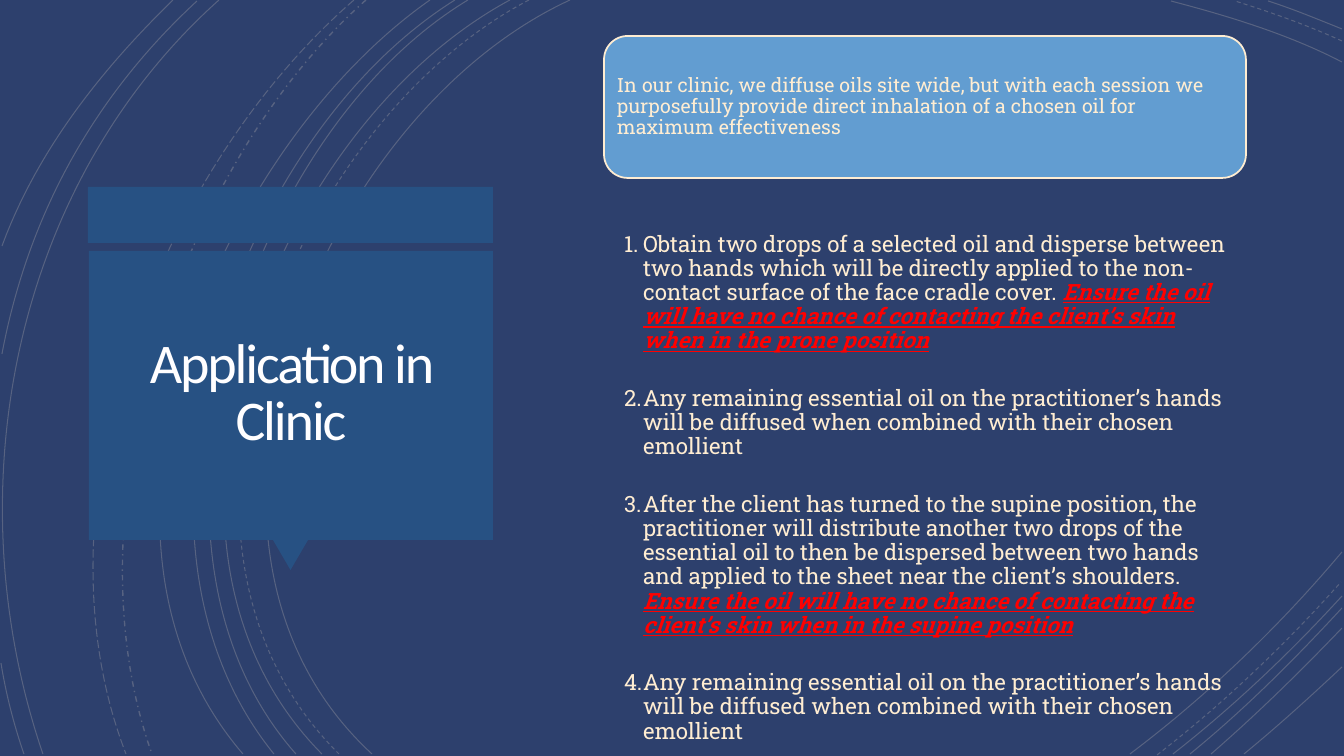
from lxml import etree
from pptx import Presentation, util as u
from pptx.dml.color import RGBColor
from pptx.enum import dml, shapes, text
from pptx.oxml.ns import qn

PX = 914400 / 100.8
COLORS = {"back": "2D406D", "panel": "275183", "box": "629DD1",
          "cream": "FFEDD2", "white": "FFFEFF", "warning": "FF0000"}
SOLID, DASH = dml.MSO_LINE.SOLID, dml.MSO_LINE.DASH
DASH_DOT, LONG_DASH = dml.MSO_LINE.DASH_DOT, dml.MSO_LINE.LONG_DASH

ARCS = [
    (SOLID, (570, 0), (318, 116), (144, 544), (372, 754)),
    (SOLID, (1342, 62), (1288, 34), (1228, 16), (1171, 1)),
    (SOLID, (1130, 754), (1207, 696), (1279, 627), (1342, 552)),
    (DASH, (529, 0), (287, 126), (124, 541), (339, 754)),
    (DASH, (1342, 41), (1307, 25), (1270, 12), (1235, 1)),
    (DASH, (1157, 755), (1223, 704), (1285, 645), (1341, 582)),
    (SOLID, (510, 0), (272, 128), (111, 541), (322, 754)),
    (SOLID, (1342, 29), (1317, 19), (1293, 9), (1268, 1)),
    (SOLID, (1173, 754), (1233, 707), (1290, 653), (1342, 596)),
    (SOLID, (468, 0), (246, 134), (111, 545), (296, 754)),
    (SOLID, (1190, 754), (1244, 710), (1294, 660), (1342, 608)),
    (SOLID, (455, 0), (233, 139), (98, 537), (274, 754)),
    (SOLID, (1211, 754), (1256, 715), (1300, 672), (1342, 628)),
    (SOLID, (430, 0), (219, 148), (53, 533), (243, 754)),
    (SOLID, (1244, 754), (1277, 727), (1309, 698), (1342, 667)),
    (DASH_DOT, (366, 0), (177, 167), (66, 513), (152, 754)),
    (LONG_DASH, (354, 0), (158, 170), (29, 503), (126, 754)),
    (SOLID, (219, 0), (11, 186), (-46, 494), (43, 754)),
    (SOLID, (197, 1), (93, 97), (28, 216), (2, 354)),
    (SOLID, (1, 663), (6, 694), (14, 725), (24, 754)),
    (SOLID, (173, 0), (101, 70), (37, 151), (2, 246)),
]

INTRO = ("In our clinic, we diffuse oils site wide, but with each session we purposefully "
         "provide direct inhalation of a chosen oil for maximum effectiveness")
REMAINDER = ("Any remaining essential oil on the practitioner’s hands will be diffused "
             "when combined with their chosen emollient")
WARNING = "Ensure the oil will have no chance of contacting the client’s skin when in the {} position"
STEPS = [
    ("Obtain two drops of a selected oil and disperse between two hands which will be directly "
     "applied to the non-contact surface of the face cradle cover. ", WARNING.format("prone")),
    (REMAINDER, ""),
    ("After the client has turned to the supine position, the practitioner will distribute another "
     "two drops of the essential oil to then be dispersed between two hands and applied to the "
     "sheet near the client’s shoulders. ", WARNING.format("supine")),
    (REMAINDER, ""),
]


def px(n):
    return u.Emu(round(n * PX))


class Deck:
    """Hold the slide style and draw each kind of element on the current slide."""

    def __init__(self):
        self.prs = Presentation()
        self.prs.slide_width, self.prs.slide_height = px(1344), px(756)
        self.s = self.prs.slides.add_slide(self.prs.slide_layouts[1])
        self.paint(self.s.background.fill, "back")

    def paint(self, fill, color):
        fill.solid()
        fill.fore_color.rgb = RGBColor.from_string(COLORS[color])

    def arc(self, dash, start, *controls):
        builder = self.s.shapes.build_freeform(*start, scale=PX)
        builder.add_line_segments(controls, close=False)
        sp = builder.convert_to_shape()
        outline = next(sp.element.iter(qn("a:path")))
        curve = etree.SubElement(outline, qn("a:cubicBezTo"))
        for segment in outline.findall(qn("a:lnTo")):
            curve.append(segment[0])
            outline.remove(segment)
        sp.shadow.inherit = False
        sp.fill.background()
        self.paint(sp.line.fill, "cream")
        sp.line.width = u.Pt(1 if dash == DASH_DOT else 0.75)
        sp.line.dash_style = dash
        color = next(sp.element.spPr.find(qn("a:ln")).iter(qn("a:srgbClr")))
        etree.SubElement(color, qn("a:alpha"), val="20000")

    def shape(self, kind, box, color, outline=None, rotation=0):
        sp = self.s.shapes.add_shape(kind, *map(px, box))
        sp.shadow.inherit = False
        sp.rotation = rotation
        self.paint(sp.fill, color)
        if outline:
            self.paint(sp.line.fill, outline)
            sp.line.width = u.Pt(1.25)
        else:
            sp.line.fill.background()
        return sp

    def frame(self, sp, insets, anchor):
        tf = sp.text_frame
        tf.word_wrap = True
        tf.auto_size = text.MSO_AUTO_SIZE.NONE
        tf.vertical_anchor = anchor
        tf.margin_left, tf.margin_top, tf.margin_right, tf.margin_bottom = map(px, insets)
        return tf

    def place(self, sp, box):
        sp.left, sp.top, sp.width, sp.height = map(px, box)
        sp.element.getparent().append(sp.element)

    def paragraph(self, p, align, spacing, after=0):
        p.alignment = align
        p.line_spacing = spacing
        p.space_before, p.space_after = u.Pt(0), u.Pt(after)

    def run(self, p, words, size, color, font="Roboto Slab", strong=False):
        r = p.add_run()
        r.text = words
        r.font.name, r.font.size = font, u.Pt(size)
        r.font.bold = r.font.italic = r.font.underline = strong
        self.paint(r.font.fill, color)
        return r

    def title(self, words, box):
        sp = self.s.shapes.title
        self.place(sp, box)
        p = self.frame(sp, (25, 25, 25, 25), text.MSO_ANCHOR.MIDDLE).paragraphs[0]
        self.paragraph(p, text.PP_ALIGN.CENTER, 0.85)
        r = self.run(p, words, 40, "white", "Calibri")
        r._r.get_or_add_rPr().set("spc", "-150")

    def callout(self, words, box):
        sp = self.shape(shapes.MSO_SHAPE.ROUNDED_RECTANGLE, box, "box", "cream")
        p = self.frame(sp, (6, 6, 6, 6), text.MSO_ANCHOR.MIDDLE).paragraphs[0]
        self.paragraph(p, text.PP_ALIGN.LEFT, 0.9)
        self.run(p, words, 14, "cream")

    def numbered(self, items, box):
        sp = self.s.placeholders[1]
        self.place(sp, box)
        tf = self.frame(sp, (20, 55, 12, 2), text.MSO_ANCHOR.TOP)
        for i, (words, warning) in enumerate(items):
            p = tf.add_paragraph() if i else tf.paragraphs[0]
            self.paragraph(p, text.PP_ALIGN.LEFT, 0.9, 23.8)
            pPr = p._p.get_or_add_pPr()
            pPr.set("marL", str(px(19)))
            pPr.set("indent", str(px(-19)))
            etree.SubElement(pPr, qn("a:buFont"), typeface="+mj-lt")
            etree.SubElement(pPr, qn("a:buAutoNum"), type="arabicPeriod")
            self.run(p, words, 16, "cream")
            if warning:
                self.run(p, warning, 16, "warning", strong=True)


def main():
    deck = Deck()
    for arc in ARCS:
        deck.arc(*arc)
    deck.shape(shapes.MSO_SHAPE.RECTANGLE, (88, 187, 405, 56), "panel")
    deck.shape(shapes.MSO_SHAPE.ISOSCELES_TRIANGLE, (273, 540, 35, 30), "panel", rotation=180)
    deck.shape(shapes.MSO_SHAPE.RECTANGLE, (89, 251, 404, 289), "panel")
    deck.title("Application in Clinic", (98, 259, 386, 271))
    deck.callout(INTRO, (604, 36, 642, 142))
    deck.numbered(STEPS, (604, 178, 642, 486))
    deck.prs.save("out.pptx")


if __name__ == "__main__":
    main()
